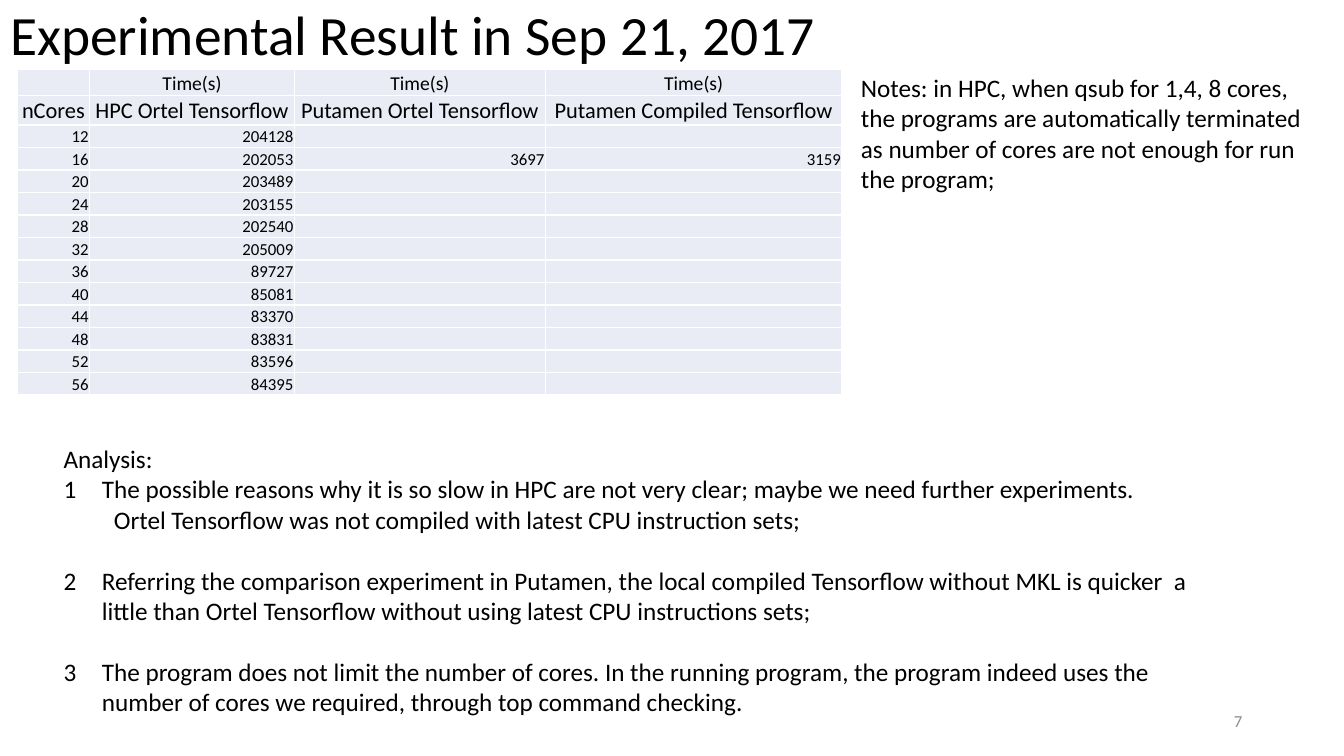
from lxml.etree import SubElement as Sub
from pptx import Presentation
from pptx.dml.color import RGBColor
from pptx.enum.text import MSO_ANCHOR as Anchor, MSO_AUTO_SIZE as Auto, PP_ALIGN as Align
from pptx.oxml.ns import qn
from pptx.util import Inches, Pt

FONT = "Calibri"
BLACK, GRAY, WHITE, PALE = "000000", "8C8C8C", "FFFFFF", "E9EBF5"

HEADS = [
    ["", "Time(s)", "Time(s)", "Time(s)"],
    ["nCores", "HPC Ortel Tensorflow", "Putamen Ortel Tensorflow",
     "Putamen Compiled Tensorflow"],
]
HPC_TIMES = [204128, 202053, 203489, 203155, 202540, 205009,
             89727, 85081, 83370, 83831, 83596, 84395]
PUTAMEN = {16: ["3697", "3159"]}
COL_WIDTHS = [0.72, 2.03, 2.49, 2.94]
HEAD_HEIGHTS = [0.26, 0.29]
ROW_HEIGHT = 2.68 / len(HPC_TIMES)

NOTES = ("Notes: in HPC, when qsub for 1,4, 8 cores, the programs are automatically "
         "terminated as number of cores are not enough for run the program;")
# Text, list number, level, space before in points
ANALYSIS = [
    ("Analysis:", None, 0, 0),
    ("The possible reasons why it is so slow in HPC are not very clear; "
     "maybe we need further experiments.", 1, 0, 0),
    ("Ortel Tensorflow was not compiled with latest CPU instruction sets;", None, 1, 0),
    ("Referring the comparison experiment in Putamen, the local compiled Tensorflow "
     "without MKL is quicker  a little than Ortel Tensorflow without using latest CPU "
     "instructions sets;", 2, 0, 22),
    ("The program does not limit the number of cores. In the running program, the program "
     "indeed uses the number of cores we required, through top command checking.", 3, 0, 22),
]


def color(code):
    return RGBColor.from_string(code)


def add_run(para, text, size, ink=BLACK):
    run = para.add_run()
    run.text = text
    run.font.name, run.font.size = FONT, Pt(size)
    run.font.bold = False
    run.font.color.rgb = color(ink)


def place(shape, left, top, width, height, anchor=Anchor.TOP):
    shape.left, shape.top = Inches(left), Inches(top)
    shape.width, shape.height = Inches(width), Inches(height)
    frame = shape.text_frame
    frame.word_wrap, frame.auto_size = True, Auto.NONE
    frame.vertical_anchor = anchor
    return frame


def add_text(slide, box, text, size, ink=BLACK, align=Align.LEFT, anchor=Anchor.TOP):
    frame = place(slide.shapes.add_textbox(0, 0, 0, 0), *box, anchor)
    para = frame.paragraphs[0]
    para.alignment = align
    add_run(para, text, size, ink)


def set_title(slide, text):
    frame = place(slide.shapes.title, 0, 0, 13.33, 0.74, Anchor.MIDDLE)
    para = frame.paragraphs[0]
    para.alignment, para.line_spacing = Align.LEFT, 0.9
    add_run(para, text, 39.6)


def set_list(slide, items):
    frame = place(slide.placeholders[1], 0.53, 4.35, 11.35, 2.83)
    for i, (text, number, level, gap) in enumerate(items):
        para = frame.add_paragraph() if i else frame.paragraphs[0]
        para.level, para.line_spacing = level, 1.0
        para.space_before, para.space_after = Pt(gap), Pt(0)
        add_run(para, text, 18)
        # Indent and bullet
        props = para._p.get_or_add_pPr()
        hang = Inches(0.38) if number else 0
        props.set("marL", str(hang or Inches(0.5 * level)))
        props.set("indent", str(-hang))
        if number:
            Sub(props, qn("a:buFont"), typeface=FONT)
            Sub(props, qn("a:buAutoNum"), type="arabicPlain", startAt=str(number))
        else:
            Sub(props, qn("a:buNone"))


def set_cell(cell, text, size, align):
    cell.margin_left = cell.margin_right = cell.margin_top = Inches(0.01)
    cell.margin_bottom = 0
    cell.vertical_anchor = Anchor.BOTTOM
    # Borders come before the fill
    props = cell._tc.get_or_add_tcPr()
    for side in ("lnL", "lnR", "lnT", "lnB"):
        line = Sub(props, qn("a:" + side), w=str(Pt(1)))
        Sub(Sub(line, qn("a:solidFill")), qn("a:srgbClr"), val=WHITE)
    cell.fill.solid()
    cell.fill.fore_color.rgb = color(PALE)
    para = cell.text_frame.paragraphs[0]
    para.alignment = align
    if text:
        add_run(para, text, size)
    else:
        # Small type keeps empty rows low
        Sub(para._p, qn("a:endParaRPr"), sz=str(size * 100))


def add_times(slide):
    rows = list(HEADS)
    for i, time in enumerate(HPC_TIMES):
        cores = 12 + 4 * i
        rows.append([str(cores), str(time)] + PUTAMEN.get(cores, ["", ""]))
    heights = HEAD_HEIGHTS + [ROW_HEIGHT] * len(HPC_TIMES)
    sizes = [14, 16] + [12] * len(HPC_TIMES)
    table = slide.shapes.add_table(
        len(rows), len(COL_WIDTHS), Inches(0.17), Inches(0.69),
        Inches(sum(COL_WIDTHS)), Inches(sum(heights))).table
    table.first_row = table.horz_banding = False
    for col, width in zip(table.columns, COL_WIDTHS):
        col.width = Inches(width)
    for r, row in enumerate(rows):
        table.rows[r].height = Inches(heights[r])
        align = Align.CENTER if r < len(HEADS) else Align.RIGHT
        for c, text in enumerate(row):
            set_cell(table.cell(r, c), text, sizes[r], align)


def main():
    deck = Presentation()
    deck.slide_width, deck.slide_height = Inches(13.33), Inches(7.5)
    slide = deck.slides.add_slide(deck.slide_layouts[1])
    set_title(slide, "Experimental Result in Sep 21, 2017")
    # Page number
    add_text(slide, (9.42, 6.95, 3, 0.4), "7", 12, GRAY, Align.RIGHT, Anchor.MIDDLE)
    add_times(slide)
    add_text(slide, (8.44, 0.67, 4.68, 1.31), NOTES, 18)
    set_list(slide, ANALYSIS)
    deck.save("out.pptx")


main()
